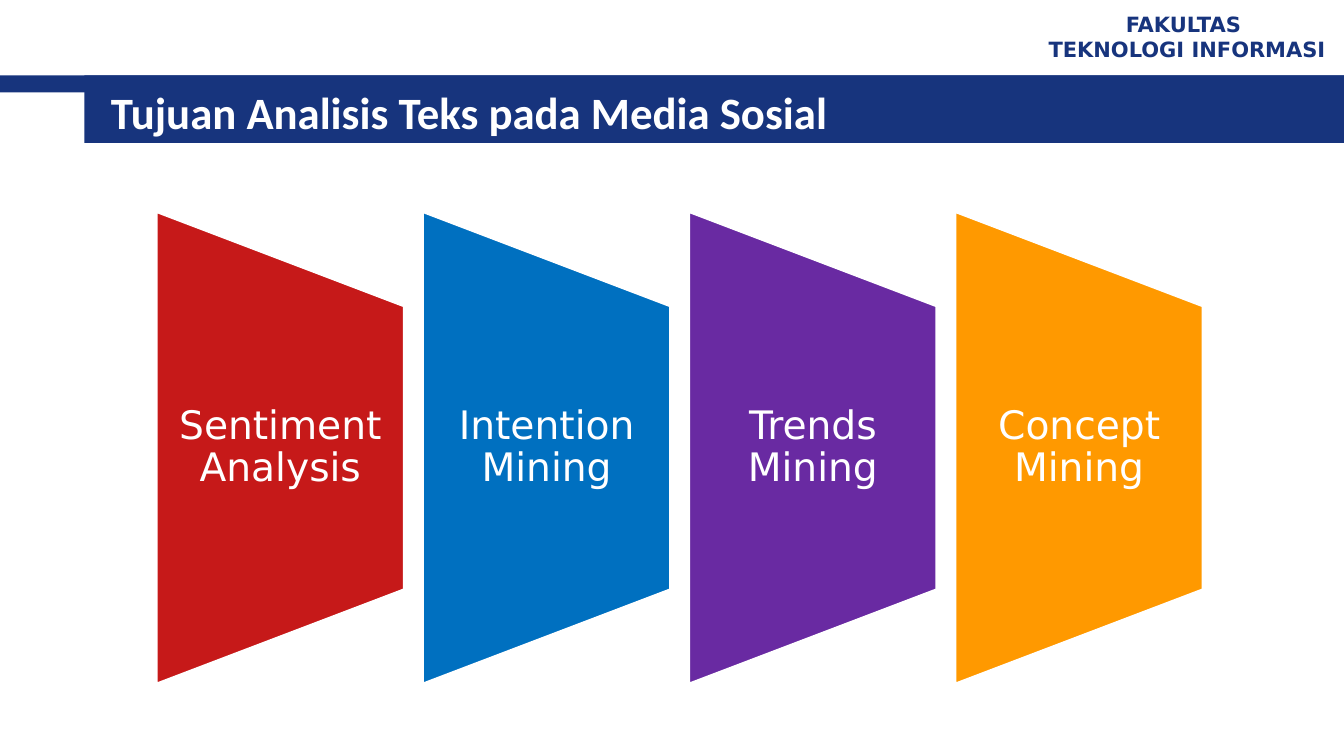
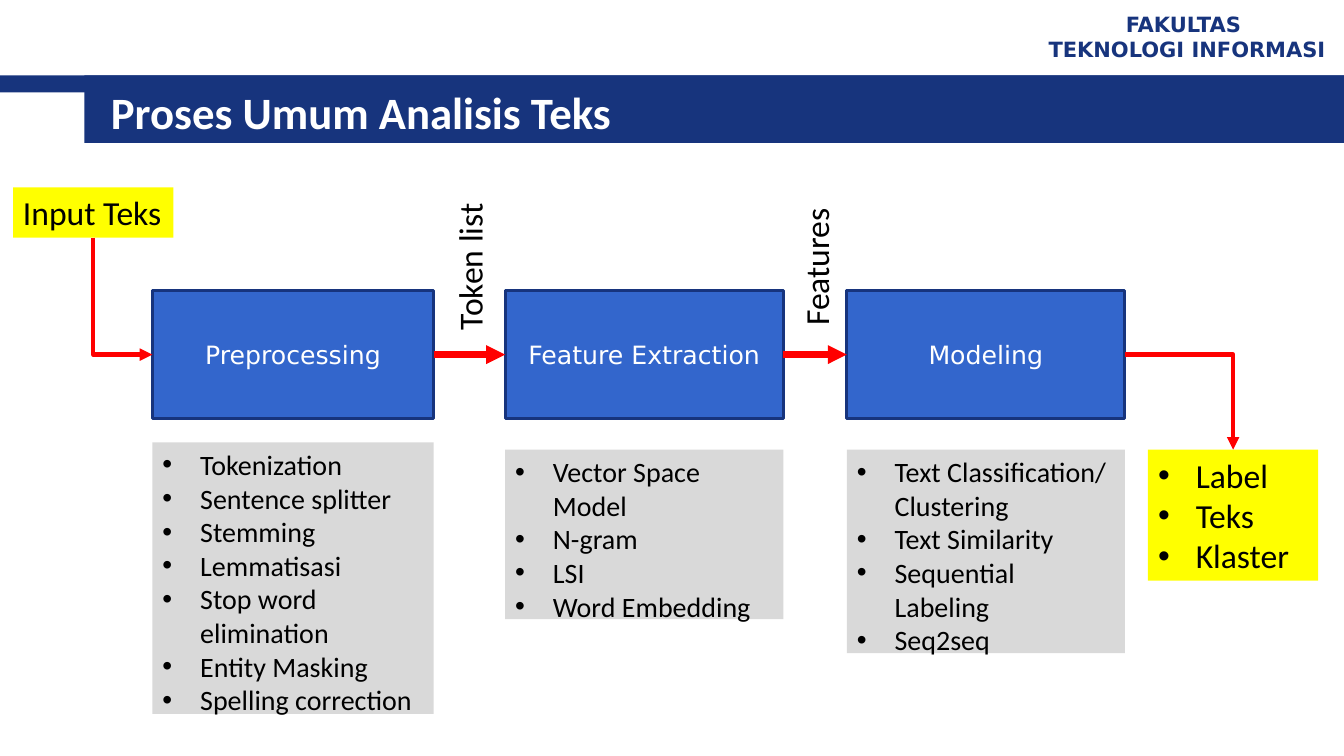
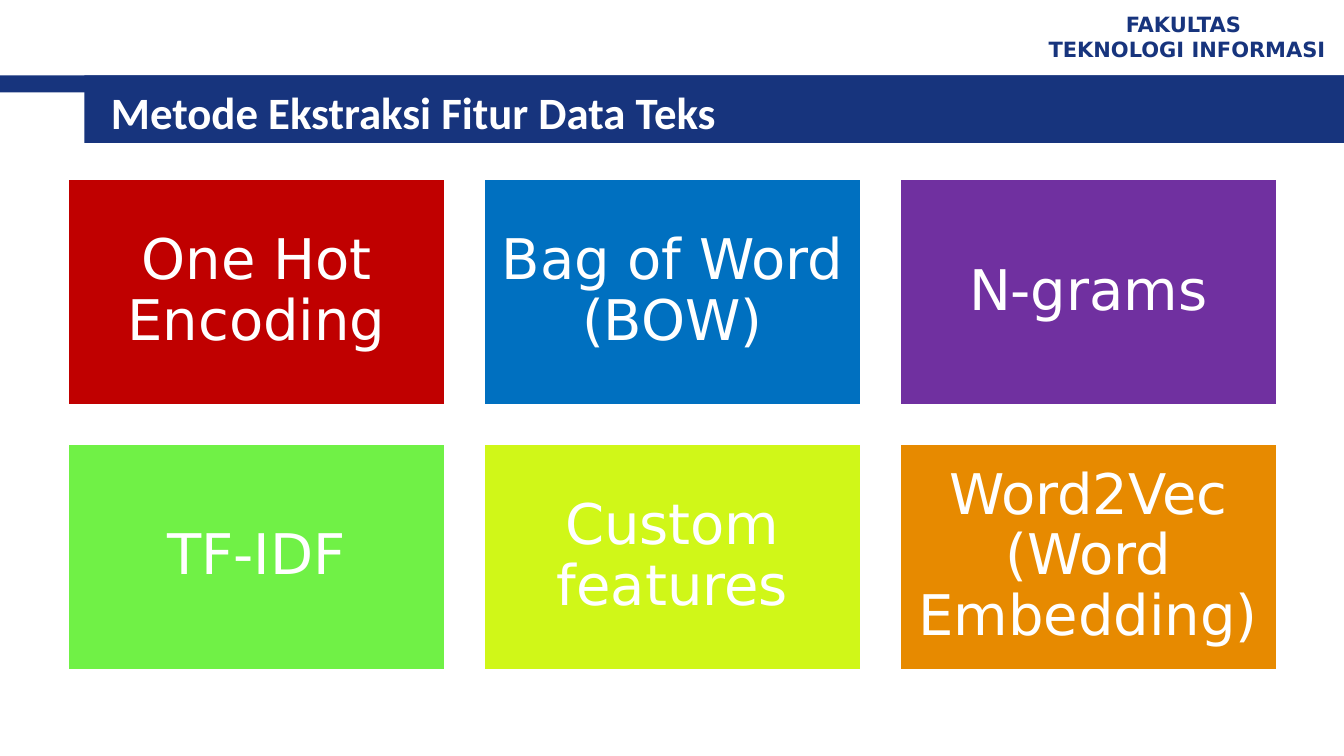
from typing import NamedTuple

from lxml import etree
from pptx import Presentation
from pptx import util as u
from pptx.dml.color import RGBColor
from pptx.enum import shapes as es, text as et
from pptx.oxml.ns import qn

NAVY, BLUE, RED = "17347D", "3366CC", "FF0000"
WHITE, BLACK, GREY, YELLOW = "FFFFFF", "000000", "D9D9D9", "FFFF00"
SANS, BODY = "DejaVu Sans", "Calibri"
LEFT, MID = et.PP_ALIGN.LEFT, et.PP_ALIGN.CENTER
RECT = es.MSO_SHAPE.RECTANGLE
FIT = et.MSO_AUTO_SIZE.SHAPE_TO_FIT_TEXT


class Box(NamedTuple):
    """Left, top, width and height in centimetres."""
    x: float
    y: float
    w: float
    h: float

    def emu(self) -> list:
        return [u.Cm(v) for v in self]


class Style(NamedTuple):
    size: float
    face: str = SANS
    color: str = WHITE
    bold: bool = False
    align: et.PP_ALIGN = MID
    space: float = 1.0


class Panel(NamedTuple):
    label: str
    color: str
    alpha: int = 100


class Step(NamedTuple):
    label: str
    box: Box


class List(NamedTuple):
    box: Box
    color: str
    size: float
    items: list


HEAD = Style(32, BODY, WHITE, True, LEFT)
UNIT = Style(15, SANS, NAVY, True)
NOTE = Style(24, BODY, BLACK, align=LEFT)


# Formatting helpers
def put(obj, vals: dict) -> None:
    for key, val in vals.items():
        setattr(obj, key, val)


def tint(part, color: str) -> None:
    part.solid()
    part.fore_color.rgb = RGBColor.from_string(color)


def write(shape, lines: list, style: Style, **frame) -> None:
    tf = shape.text_frame
    put(tf, {"word_wrap": True, "vertical_anchor": et.MSO_ANCHOR.MIDDLE, **frame})
    for i, line in enumerate(lines):
        para = tf.add_paragraph() if i else tf.paragraphs[0]
        put(para, {"alignment": style.align, "line_spacing": style.space,
                   "space_before": u.Pt(0)})
        run = para.add_run()
        run.text = line
        put(run.font, {"size": u.Pt(style.size), "name": style.face,
                       "bold": style.bold})
        tint(run.font.fill, style.color)


def paint(shape, fill: str, line: str = "", alpha: int = 100) -> None:
    shape.shadow.inherit = False
    tint(shape.fill, fill)
    if alpha < 100:
        color = shape.element.spPr.find(".//" + qn("a:srgbClr"))
        etree.SubElement(color, qn("a:alpha"), val=str(alpha * 1000))
    if line:
        tint(shape.line.fill, line)
        shape.line.width = u.Pt(2)
    else:
        shape.line.fill.background()


def rect(slide, box: Box, fill: str, line: str = ""):
    shape = slide.shapes.add_shape(RECT, *box.emu())
    paint(shape, fill, line)
    return shape


def pads(x: float, y: float) -> dict:
    return {"margin_left": u.Cm(x), "margin_right": u.Cm(x),
            "margin_top": u.Cm(y), "margin_bottom": u.Cm(y)}


# Title, bands and faculty name on every slide
def start(deck, title: str, layout: int = 5):
    slide = deck.slides.add_slide(deck.slide_layouts[layout])
    rect(slide, Box(0, 1.9, 33.87, 0.43), NAVY)
    rect(slide, Box(2.13, 1.9, 31.74, 1.7), NAVY)
    unit = slide.shapes.add_textbox(*Box(25.98, 0.13, 7.87, 1.57).emu())
    write(unit, ["FAKULTAS ", "TEKNOLOGI INFORMASI"], UNIT)
    head = slide.shapes.title
    place(head, Box(2.54, 2.03, 30.2, 1.57))
    write(head, [title], HEAD, auto_size=et.MSO_AUTO_SIZE.NONE)
    head.element.getparent().append(head.element)
    return slide


def place(shape, box: Box) -> None:
    put(shape, dict(zip(("left", "top", "width", "height"), box.emu())))


# Bulleted list in a body placeholder
def fill_list(shape, data: List) -> None:
    place(shape, data.box)
    paint(shape, data.color)
    write(shape, data.items, Style(data.size, BODY, BLACK, align=LEFT),
          vertical_anchor=et.MSO_ANCHOR.TOP, auto_size=FIT)
    for para in shape.text_frame.paragraphs:
        ppr = para._p.get_or_add_pPr()
        ppr.set("marL", str(u.Cm(0.95)))
        ppr.set("indent", str(-u.Cm(0.95)))
        etree.SubElement(ppr, qn("a:buFont"), typeface="Arial")
        etree.SubElement(ppr, qn("a:buChar"), char="•")


# Arrows
def arrow(slide, kind, ends: tuple, width: float):
    link = slide.shapes.add_connector(kind, *[u.Cm(v) for v in ends])
    tint(link.line.fill, RED)
    link.line.width = u.Pt(width)
    props = link.element.spPr
    etree.SubElement(props.find(qn("a:ln")), qn("a:tailEnd"), type="triangle")
    etree.SubElement(props, qn("a:effectLst"))
    return link


def elbow(slide, x1: float, y1: float, x2: float, y2: float,
          down: bool = False) -> None:
    """One-bend arrow; it leaves sideways, or downwards if down is set."""
    ends = (x1, y1, x2, y2)
    if down:
        cx, cy = (x1 + x2) / 2, (y1 + y2) / 2
        run, drop = (x2 - x1) / 2, (y2 - y1) / 2
        ends = (cx + drop, cy - run, cx - drop, cy + run)
    link = arrow(slide, es.MSO_CONNECTOR.ELBOW, ends, 3)
    props = link.element.spPr
    props.find(qn("a:prstGeom")).set("prst", "bentConnector2")
    if down:
        props.find(qn("a:xfrm")).set("rot", str(270 * 60000))


# Slide 1: four trapezoids
def goals(deck) -> None:
    slide = start(deck, "Tujuan Analisis Teks pada Media Sosial")
    panels = [Panel("Sentiment Analysis", "C00000", 90),
              Panel("Intention Mining", "0070C0"),
              Panel("Trends Mining", "692AA2"),
              Panel("Concept Mining", "FF9900")]
    top, wide, high, slope, pitch = 5.33, 6.25, 11.91, 2.38, 6.71
    for i, panel in enumerate(panels):
        x = 3.94 + i * pitch
        base, right = top + high, x + wide
        pts = [(x, top), (right, top + slope), (right, base - slope)]
        path = slide.shapes.build_freeform(u.Cm(x), u.Cm(base))
        path.add_line_segments([(u.Cm(a), u.Cm(b)) for a, b in pts])
        shape = path.convert_to_shape()
        paint(shape, panel.color, WHITE, panel.alpha)
        write(shape, [panel.label], Style(28, space=0.9), **pads(0.49, slope))


# Slide 2: process flow
def flow(deck) -> None:
    slide = start(deck, "Proses Umum Analisis Teks", 4)
    lists = [
        List(Box(3.84, 11.15, 7.09, 7.09), GREY, 20,
             ["Tokenization", "Sentence splitter", "Stemming", "Lemmatisasi",
              "Stop word elimination", "Entity Masking", "Spelling correction"]),
        List(Box(12.73, 11.33, 7.01, 4.52), GREY, 20,
             ["Vector Space Model", "N-gram", "LSI", "Word Embedding"]),
        List(Box(21.34, 11.33, 7.01, 5.38), GREY, 20,
             ["Text Classification/ Clustering", "Text Similarity",
              "Sequential Labeling", "Seq2seq"]),
        List(Box(28.93, 11.33, 4.29, 3.33), YELLOW, 24,
             ["Label", "Teks", "Klaster"])]
    for idx, data in enumerate(lists, 1):
        body = next(p for p in slide.placeholders
                    if p.placeholder_format.idx == idx)
        fill_list(body, data)

    # Steps stand above their lists
    names = ["Preprocessing", "Feature Extraction", "Modeling"]
    steps = [Step(name, Box(data.box.x, 7.32, data.box.w, 3.23))
             for name, data in zip(names, lists)]
    boxes = []
    for step in steps:
        shape = rect(slide, step.box, BLUE, NAVY)
        write(shape, [step.label], Style(18))
        boxes.append(shape)
    source = Box(0.33, 4.72, 4.04, 1.27)
    write(rect(slide, source, YELLOW), ["Input Teks"], NOTE,
          word_wrap=False, auto_size=FIT)

    # Links
    for one, two in zip(boxes, boxes[1:]):
        link = arrow(slide, es.MSO_CONNECTOR.STRAIGHT, (0, 0, 1, 1), 4.5)
        link.begin_connect(one, 3)
        link.end_connect(two, 1)
    first, last, out = steps[0].box, steps[-1].box, lists[-1].box
    mid = first.y + first.h / 2
    elbow(slide, source.x + source.w / 2, source.y + source.h, first.x, mid, True)
    elbow(slide, last.x + last.w, mid, out.x + out.w / 2, out.y)

    # Upright link names
    for name, box in (("Token list", Box(9.96, 6.07, 3.73, 1.27)),
                      ("Features", Box(18.8, 6.07, 3.51, 1.27))):
        label = slide.shapes.add_textbox(*box.emu())
        label.rotation = 270
        write(label, [name], NOTE, word_wrap=False, auto_size=FIT)


# Slide 3: grid of methods
def methods(deck) -> None:
    slide = start(deck, "Metode Ekstraksi Fitur Data Teks")
    panels = [Panel("One Hot Encoding", "C00000"),
              Panel("Bag of Word (BOW)", "0070C0"),
              Panel("N-grams", "7030A0"),
              Panel("TF-IDF", "70F146"),
              Panel("Custom features", "D0F718"),
              Panel("Word2Vec (Word Embedding)", "E78A00")]
    wide, high, gap = 9.53, 5.72, 0.95
    for i, panel in enumerate(panels):
        row, col = divmod(i, 3)
        box = Box(1.7 + col * (wide + gap), 4.5 + row * (high + gap), wide, high)
        write(rect(slide, box, panel.color, WHITE), [panel.label],
              Style(40, space=0.9), **pads(0.43, 0.43))


def main() -> None:
    deck = Presentation()
    put(deck, {"slide_width": u.Cm(33.87), "slide_height": u.Cm(19.05)})
    for build in (goals, flow, methods):
        build(deck)
    deck.save("out.pptx")


if __name__ == "__main__":
    main()
